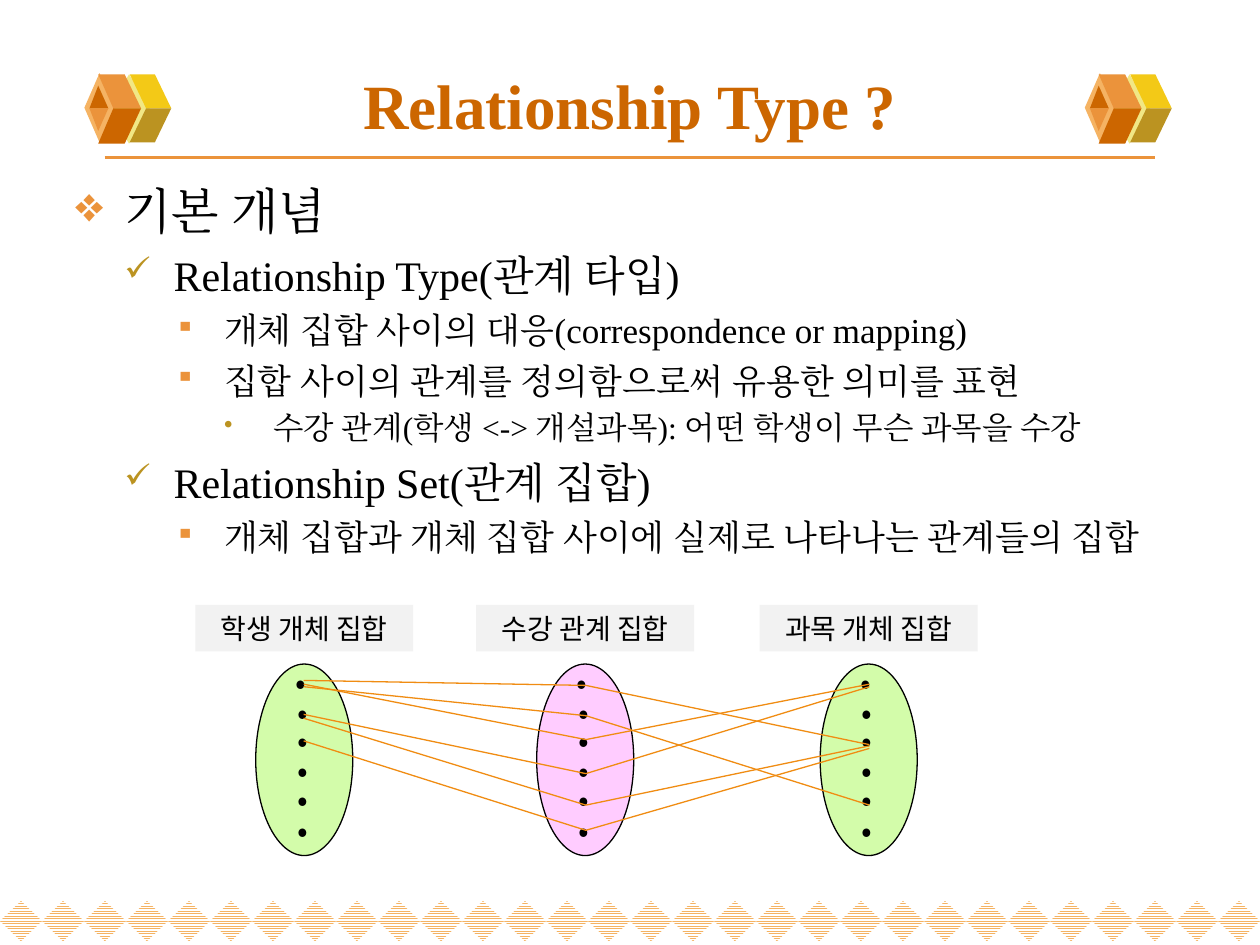
from lxml.etree import SubElement
from pptx import Presentation
from pptx.dml.color import RGBColor
from pptx.enum.dml import MSO_PATTERN
from pptx.enum.shapes import MSO_CONNECTOR, MSO_SHAPE
from pptx.enum.text import MSO_ANCHOR, PP_ALIGN
from pptx.oxml.ns import qn
from pptx.util import Inches, Pt

SERIF, SANS = "Times New Roman", "Noto Sans CJK KR"

# Level: size, hanging mark, its colour, its percentage size, left indent
LEVELS = [
    (28, "❖", "EB933B", 100, 0.39),
    (24, "✓", "BB9321", 80, 0.78),
    (20, "▪", "EB933B", 80, 1.18),
    (18, "•", "BB9321", 80, 1.57),
]
HANG = 0.39
POINTS = [
    (0, "기본 개념"),
    (1, "Relationship Type(관계 타입)"),
    (2, "개체 집합 사이의 대응(correspondence or mapping)"),
    (2, "집합 사이의 관계를 정의함으로써 유용한 의미를 표현"),
    (3, "수강 관계(학생 <-> 개설과목): 어떤 학생이 무슨 과목을 수강"),
    (1, "Relationship Set(관계 집합)"),
    (2, "개체 집합과 개체 집합 사이에 실제로 나타나는 관계들의 집합"),
]

# Faces of the cube, measured from its top left corner
FACES_BACK = [
    ("F3C917", [(0.49, 0.28), (0.69, 0.28), (0.56, 0.01), (0.36, 0.01)]),
    ("BB9321", [(0.49, 0.28), (0.69, 0.28), (0.56, 0.55), (0.36, 0.55)]),
]
FACES_FRONT = [
    ("EB933B", [(0.23, 0.28), (0.45, 0.28), (0.32, 0.01), (0.11, 0.01)]),
    ("CC6600", [(0.23, 0.28), (0.45, 0.28), (0.32, 0.56), (0.11, 0.56)]),
    ("CC6600", [(0.11, 0.1), (0.04, 0.28), (0.19, 0.28)]),
    ("EB933B", [(0.11, 0.46), (0.04, 0.28), (0.19, 0.28)]),
]

SETS = [
    (2.03, "D3FCAA", "학생 개체 집합"),
    (4.26, "FFCCFF", "수강 관계 집합"),
    (6.51, "D3FCAA", "과목 개체 집합"),
]
DOTS = [(0.22, -0.06), (0.23, 0.18), (0.23, 0.4), (0.23, 0.64), (0.23, 0.87), (0.23, 1.12)]
# Heights of each link at the student, relationship and course sets
LINKS = [
    (5.4, 5.44, 5.91), (5.45, 5.68, 6.39), (5.43, 5.87, 5.43),
    (5.67, 6.14, 5.45), (5.7, 6.39, 5.92), (5.88, 6.59, 5.94),
]
ENDS = (2.41, 4.65, 6.9)


def tint(code):
    return RGBColor.from_string(code)


def apply(item, **vals):
    for name, val in vals.items():
        setattr(item, name, val)


def paint(shape, fill, line=None):
    shape.shadow.inherit = False
    shape.fill.solid()
    shape.fill.fore_color.rgb = tint(fill)
    if line:
        shape.line.color.rgb = tint(line)
        shape.line.width = Pt(0.75)
    else:
        shape.line.fill.background()


def form(slide, kind, box, fill, line=None):
    shape = slide.shapes.add_shape(kind, *map(Inches, box))
    paint(shape, fill, line)
    return shape


def poly(slide, left, top, dots, fill):
    spots = [(Inches(left + x), Inches(top + y)) for x, y in dots]
    pen = slide.shapes.build_freeform(*spots[0], scale=1.0)
    pen.add_line_segments(spots[1:], close=True)
    paint(pen.convert_to_shape(), fill)


def join(slide, start, end, color, width):
    line = slide.shapes.add_connector(
        MSO_CONNECTOR.STRAIGHT, *map(Inches, start + end))
    line.line.color.rgb = tint(color)
    line.line.width = Pt(width)
    SubElement(line._element.spPr, qn("a:effectLst"))


def write(para, text, size, face, color="000000", bold=False):
    run = para.add_run()
    run.text = text
    apply(run.font, size=Pt(size), name=face, bold=bold)
    run.font.color.rgb = tint(color)
    SubElement(run._r.get_or_add_rPr(), qn("a:ea"), typeface=face)


def text_box(slide, box, **vals):
    frame = slide.shapes.add_textbox(*map(Inches, box)).text_frame
    apply(frame, **vals)
    return frame


def bullet(para, mark, color, scale, left):
    props = para._p.get_or_add_pPr()
    props.set("marL", str(Inches(left)))
    props.set("indent", str(-Inches(HANG)))
    SubElement(SubElement(props, qn("a:buClr")), qn("a:srgbClr"), val=color)
    SubElement(props, qn("a:buSzPct"), val=str(scale * 1000))
    SubElement(props, qn("a:buChar"), char=mark)


def border(slide, top, width, count):
    step = width / count
    for i in range(count):
        gem = form(slide, MSO_SHAPE.DIAMOND, (i * step, top, step, 0.32), "FFFFFF")
        gem.fill.patterned()
        gem.fill.pattern = MSO_PATTERN.NARROW_HORIZONTAL
        gem.fill.fore_color.rgb = tint("F5B363")
        gem.fill.back_color.rgb = tint("FFFFFF")


def cube(slide, left, top):
    form(slide, MSO_SHAPE.DIAMOND, (left + 0.19, top + 0.01, 0.33, 0.55), "F1E785")
    for fill, dots in FACES_BACK:
        poly(slide, left, top, dots, fill)
    form(slide, MSO_SHAPE.DIAMOND, (left, top, 0.24, 0.55), "F5B363")
    for fill, dots in FACES_FRONT:
        poly(slide, left, top, dots, fill)


def header(slide, box):
    join(slide, (0.83, 1.25), (9.17, 1.25), "EB933B", 2.25)
    for left in (0.67, 8.61):
        cube(slide, left, 0.58)
    frame = text_box(slide, box, word_wrap=True, vertical_anchor=MSO_ANCHOR.MIDDLE)
    para = frame.paragraphs[0]
    para.alignment = PP_ALIGN.CENTER
    write(para, "Relationship Type ?", 36, SERIF, "CC6600", True)


def body(slide, box):
    frame = text_box(slide, box, word_wrap=True,
                     margin_top=Inches(0.08), margin_bottom=Inches(0.08))
    for i, (level, text) in enumerate(POINTS):
        size, *mark = LEVELS[level]
        para = frame.paragraphs[0] if i == 0 else frame.add_paragraph()
        para.level = level
        bullet(para, *mark)
        if i:
            para.space_before = Pt(round(size * 0.24))
        write(para, text, size, SERIF)


def oval(slide, left, top, fill):
    form(slide, MSO_SHAPE.OVAL, (left, top, 0.77, 1.52), fill, "000000")
    for x, y in DOTS:
        frame = text_box(slide, (left + x, top + y, 0.34, 0.4), word_wrap=False)
        write(frame.paragraphs[0], "•", 18, SANS)


def label(slide, left, top, text):
    shape = form(slide, MSO_SHAPE.RECTANGLE, (left, top, 1.73, 0.37), "F2F2F2")
    frame = shape.text_frame
    apply(frame, word_wrap=True, vertical_anchor=MSO_ANCHOR.MIDDLE)
    frame.paragraphs[0].alignment = PP_ALIGN.CENTER
    write(frame.paragraphs[0], text, 16, SANS)


def diagram(slide, top):
    for left, fill, _ in SETS:
        oval(slide, left, top + 0.47, fill)
    for link in LINKS:
        stops = list(zip(ENDS, link))
        for start, end in zip(stops, stops[1:]):
            join(slide, start, end, "F08C12", 0.75)
    for left, _, text in SETS:
        label(slide, left - 0.48, top, text)


def main():
    deck = Presentation()
    apply(deck, slide_width=Inches(10), slide_height=Inches(7.5))
    slide = deck.slides.add_slide(deck.slide_layouts[6])
    border(slide, 7.15, 10, 30)
    header(slide, (0.5, 0.45, 9, 0.76))
    body(slide, (0.5, 1.35, 9, 3.21))
    diagram(slide, 4.8)
    deck.save("out.pptx")


if __name__ == "__main__":
    main()
